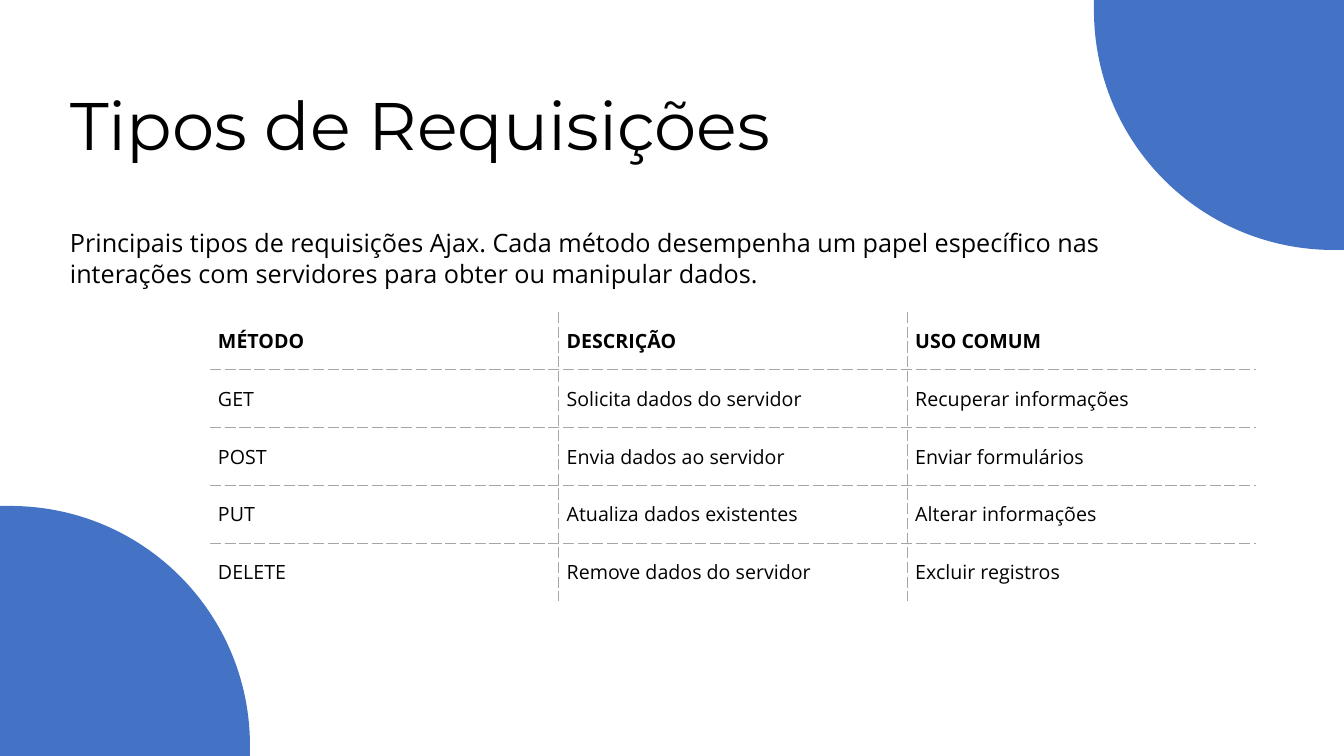
from lxml import etree
from pptx import Presentation, util as u
from pptx.dml.color import RGBColor
from pptx.enum import text
from pptx.oxml.ns import qn

PX = 914400 / 100.8
WIDTH, HEIGHT = 1344, 756
COLORS = {"circle": "4472C4", "text": "000000", "border": "A6A6A6"}


def px(n):
    return u.Emu(round(n * PX))


def write(tf, words, font, size, bold=False):
    p = tf.paragraphs[0]
    for name, value in {"alignment": text.PP_ALIGN.LEFT, "line_spacing": 1.0}.items():
        setattr(p, name, value)
    r = p.add_run()
    r.text = words
    for name, value in {"name": font, "size": u.Pt(size), "bold": bold}.items():
        setattr(r.font, name, value)
    r.font.color.rgb = RGBColor.from_string(COLORS["text"])


prs = Presentation()
prs.slide_width, prs.slide_height = px(WIDTH), px(HEIGHT)
s = prs.slides.add_slide(prs.slide_layouts[5])

lower_left = [(0, HEIGHT), (0, 506), (10, 506), (143, 506), (250, 613), (250, 746), (250, HEIGHT)]
upper_right = [(WIDTH - x, HEIGHT - y) for x, y in lower_left]
for outline in (lower_left, upper_right):
    points = [(px(x), px(y)) for x, y in outline]
    builder = s.shapes.build_freeform(*points[0])
    builder.add_line_segments(points[1:], close=True)
    sp = builder.convert_to_shape()
    segments = list(sp._element.iter(qn("a:lnTo")))
    curve = etree.Element(qn("a:cubicBezTo"))
    segments[2].addprevious(curve)
    for segment in segments[2:5]:
        curve.append(segment[0])
        segment.getparent().remove(segment)
    sp.shadow.inherit = False
    sp.fill.solid()
    sp.fill.fore_color.rgb = RGBColor.from_string(COLORS["circle"])
    sp.line.fill.background()

rows = [
    ("MÉTODO", "DESCRIÇÃO", "USO COMUM"),
    ("GET", "Solicita dados do servidor", "Recuperar informações"),
    ("POST", "Envia dados ao servidor", "Enviar formulários"),
    ("PUT", "Atualiza dados existentes", "Alterar informações"),
    ("DELETE", "Remove dados do servidor", "Excluir registros"),
]
n_rows, n_cols = len(rows), len(rows[0])
frame = s.shapes.add_table(n_rows, n_cols, px(210), px(312), px(1046), px(289))
table = frame.table
table.horz_banding = table.first_row = False
table._tbl.tblPr.find(qn("a:tableStyleId")).text = "{2D5ABB26-0587-4C30-8999-92F81FD0307C}"
for i, row in enumerate(rows):
    for j, words in enumerate(row):
        cell = table.cell(i, j)
        for side in ("left", "right", "top", "bottom"):
            setattr(cell, f"margin_{side}", px(8))
        cell.vertical_anchor = text.MSO_ANCHOR.MIDDLE
        write(cell.text_frame, words, "Open Sans", 14, bold=i == 0)
        tcPr = cell._tc.get_or_add_tcPr()
        inner = {"lnL": j > 0, "lnR": j < n_cols - 1, "lnT": i > 0, "lnB": i < n_rows - 1}
        for tag, shown in inner.items():
            ln = etree.SubElement(tcPr, qn(f"a:{tag}"), w=str(u.Pt(1)))
            if shown:
                fill = etree.SubElement(ln, qn("a:solidFill"))
                etree.SubElement(fill, qn("a:srgbClr"), val=COLORS["border"])
                etree.SubElement(ln, qn("a:prstDash"), val="sysDash")
            else:
                etree.SubElement(ln, qn("a:noFill"))
        cell.fill.background()

title = s.shapes.title
intro = s.shapes.add_textbox(0, 0, 0, 0)
boxes = [
    (title, (60, 78, 1151, 145), text.MSO_ANCHOR.TOP),
    (intro, (60, 205, 1062, 106), text.MSO_ANCHOR.MIDDLE),
]
for sp, place, anchor in boxes:
    for name, value in zip(("left", "top", "width", "height"), place):
        setattr(sp, name, px(value))
    tf = sp.text_frame
    for name, value in {"word_wrap": True, "auto_size": text.MSO_AUTO_SIZE.NONE,
                        "vertical_anchor": anchor}.items():
        setattr(tf, name, value)

write(title.text_frame, "Tipos de Requisições", "Montserrat", 48)
write(intro.text_frame,
      "Principais tipos de requisições Ajax. Cada método desempenha um papel específico "
      "nas interações com servidores para obter ou manipular dados.",
      "Open Sans", 18)

prs.save("out.pptx")
